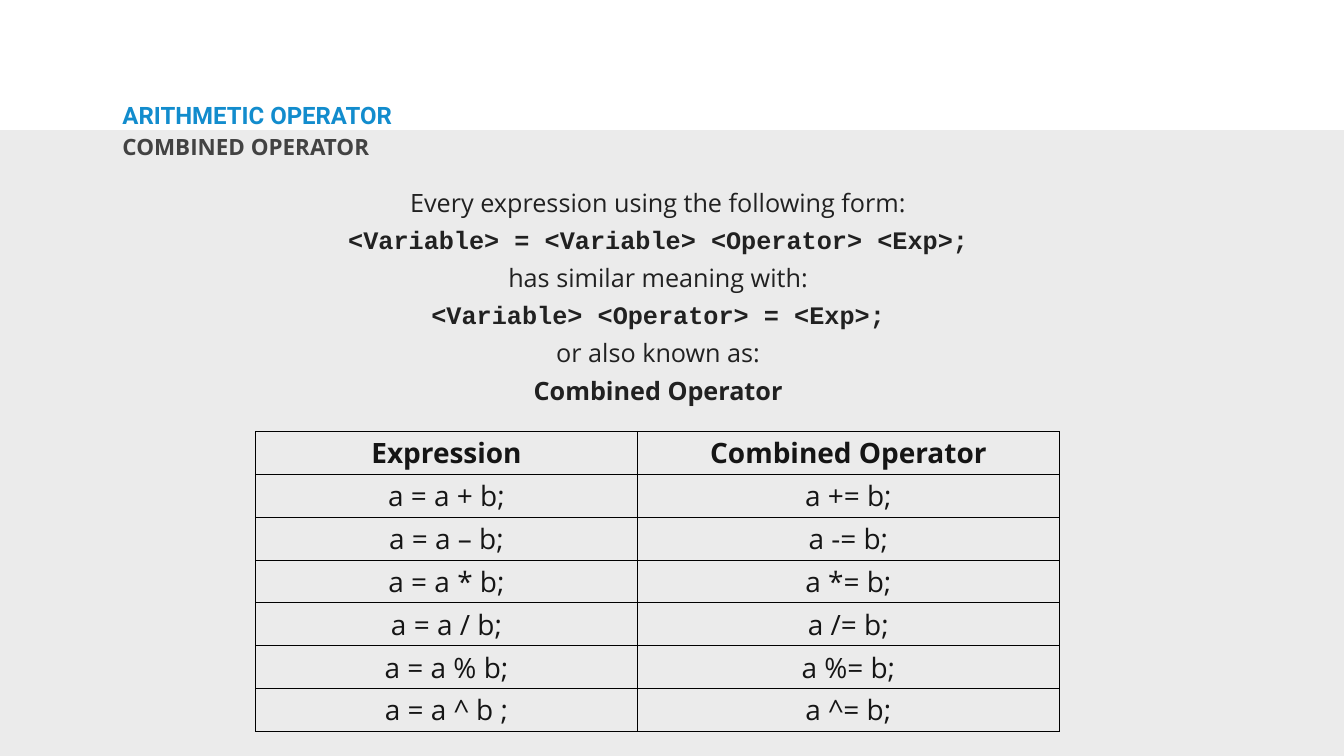
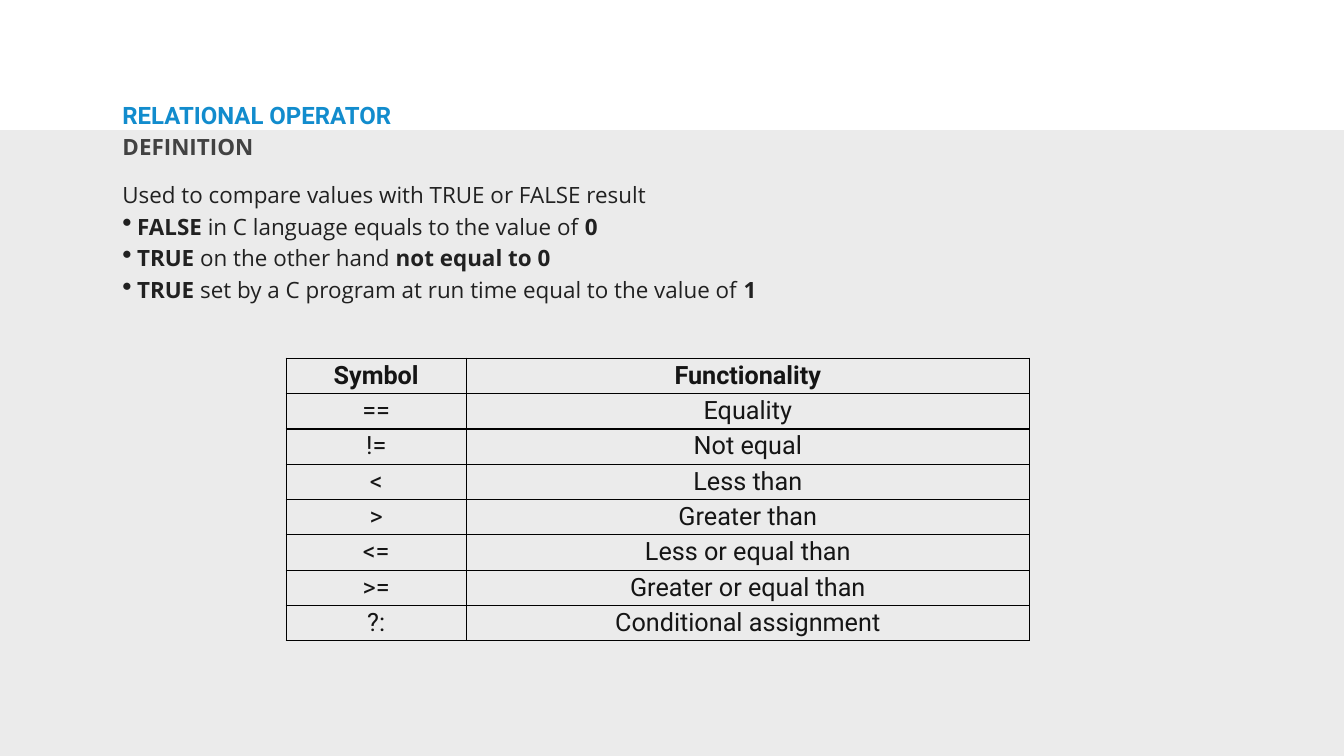
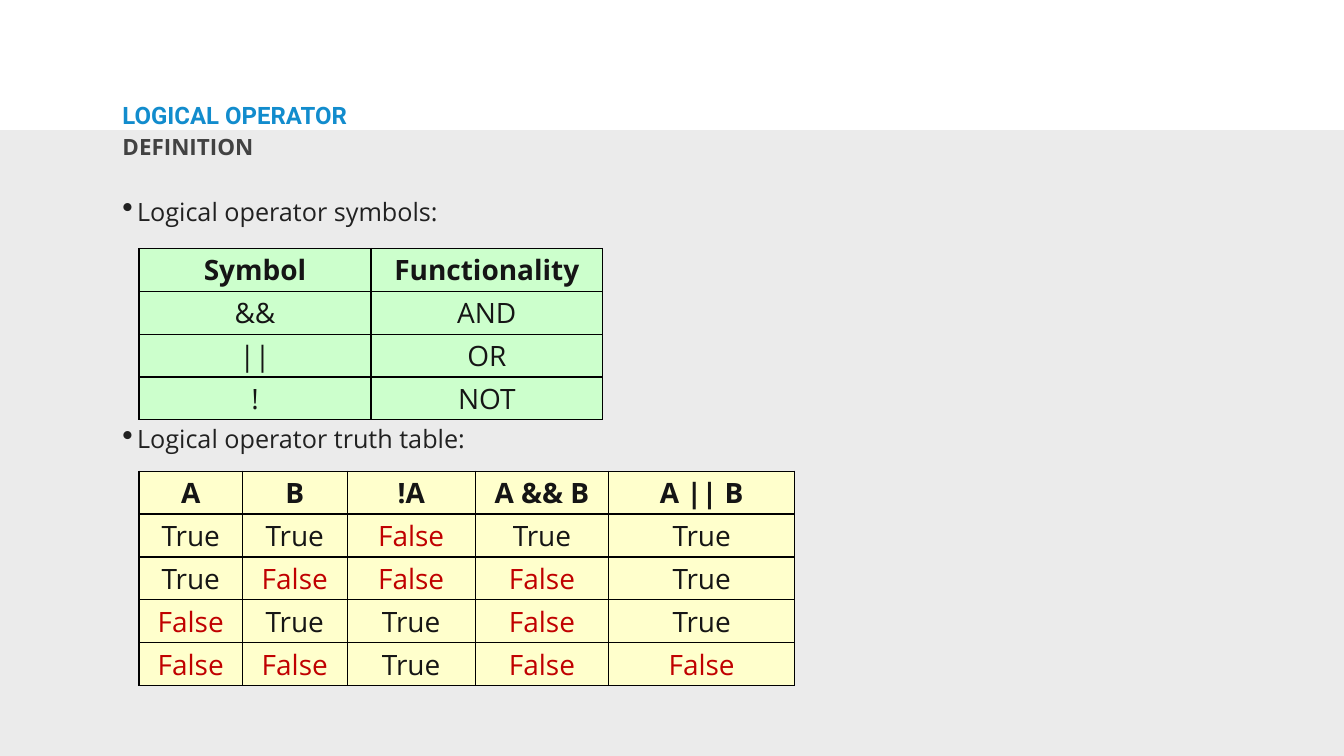
from lxml import etree
from pptx import Presentation
from pptx.dml.color import RGBColor
from pptx.enum.shapes import MSO_SHAPE
from pptx.enum.text import MSO_ANCHOR, PP_ALIGN
from pptx.oxml.ns import qn
from pptx.util import Inches, Pt

# Shared style
WHITE = RGBColor(0xFF, 0xFF, 0xFF)
BAND = RGBColor(0xEB, 0xEB, 0xEB)
BLUE = RGBColor(0x12, 0x8C, 0xCD)
GREY = RGBColor(0x42, 0x42, 0x42)
INK = RGBColor(0x21, 0x21, 0x21)
CELL_INK = RGBColor(0x15, 0x15, 0x15)
RED = RGBColor(0xC0, 0x00, 0x00)
GREEN_FILL = RGBColor(0xCC, 0xFF, 0xCC)
YELLOW_FILL = RGBColor(0xFF, 0xFF, 0xCC)

SANS, HEAD, MONO = "Open Sans", "Roboto", "Courier New"
LEFT, CENTER, JUSTIFY = PP_ALIGN.LEFT, PP_ALIGN.CENTER, PP_ALIGN.JUSTIFY
TOP, MIDDLE = MSO_ANCHOR.TOP, MSO_ANCHOR.MIDDLE
RECTANGLE = MSO_SHAPE.RECTANGLE
WIDTH, HEIGHT, BAND_TOP = 26.67, 15, 2.58
BOLD = {"bold": True}
CODE = {"font": MONO, "bold": True}


def write(p, text, size=36, font=SANS, color=INK, bold=False):
    """Add one formatted run to a paragraph."""
    r = p.add_run()
    r.text = text
    r.font.size, r.font.name, r.font.bold = Pt(size), font, bold
    r.font.color.rgb = color


def add_bullet(p):
    """Give a paragraph a large hanging bullet."""
    pPr = p._p.get_or_add_pPr()
    pPr.set("marL", str(Inches(0.29)))
    pPr.set("indent", str(-Inches(0.29)))
    etree.SubElement(pPr, qn("a:buSzPct")).set("val", "123000")
    etree.SubElement(pPr, qn("a:buChar")).set("char", "•")


def add_borders(cell, width):
    """Draw black lines on all four sides of a cell."""
    tcPr = cell._tc.get_or_add_tcPr()
    for side in ("lnL", "lnR", "lnT", "lnB"):
        ln = etree.SubElement(tcPr, qn("a:" + side), w=str(Pt(width)))
        fill = etree.SubElement(ln, qn("a:solidFill"))
        etree.SubElement(fill, qn("a:srgbClr"), val="000000")


class Deck:
    def __init__(self):
        self.prs = Presentation()
        self.prs.slide_width, self.prs.slide_height = Inches(WIDTH), Inches(HEIGHT)
        self.s = None

    def slide(self, title, subtitle):
        """Start a slide with the grey band, title and subtitle."""
        self.s = self.prs.slides.add_slide(self.prs.slide_layouts[6])
        self.s.background.fill.solid()
        self.s.background.fill.fore_color.rgb = WHITE
        self.band()
        self.text((2.37, 2.05, 16.09, 0.56), [[(title, BOLD)]], anchor=MIDDLE,
                  line=0.8, size=34.2, font=HEAD, color=BLUE)
        self.text((2.37, 2.65, 10.68, 0.88), [[(subtitle, BOLD)]],
                  line=0.9, size=32, color=GREY)

    def band(self):
        sp = self.s.shapes.add_shape(RECTANGLE, 0, Inches(BAND_TOP), Inches(WIDTH),
                                     Inches(HEIGHT - BAND_TOP))
        sp.shadow.inherit = False
        sp.fill.solid()
        sp.fill.fore_color.rgb = BAND
        sp.line.fill.background()

    def text(self, at, paragraphs, align=LEFT, anchor=TOP, line=None, before=0,
             bullets_from=None, **style):
        """Add a text box; each paragraph is a list of (text, format) runs."""
        tf = self.s.shapes.add_textbox(*map(Inches, at)).text_frame
        tf.word_wrap, tf.vertical_anchor = True, anchor
        tf.margin_left = tf.margin_right = Inches(0.06)
        tf.margin_top = tf.margin_bottom = Inches(0.06)
        for i, runs in enumerate(paragraphs):
            p = tf.add_paragraph() if i else tf.paragraphs[0]
            p.alignment = align
            if line:
                p.line_spacing = line
            if i:
                p.space_before = Pt(before)
            if bullets_from is not None and i >= bullets_from:
                add_bullet(p)
            for text, fmt in runs:
                write(p, text, **{**style, **fmt})

    def table(self, left, top, cols, row_height, rows, fill=None, border=2,
              size=40, font=SANS):
        """Add a bordered table with a bold first row and red False values."""
        frame = self.s.shapes.add_table(
            len(rows), len(cols), Inches(left), Inches(top),
            Inches(sum(cols)), Inches(row_height * len(rows)))
        table = frame.table
        table.first_row = table.horz_banding = False
        for column, width in zip(table.columns, cols):
            column.width = Inches(width)
        for i, values in enumerate(rows):
            table.rows[i].height = Inches(row_height)
            for j, value in enumerate(values):
                cell = table.cell(i, j)
                add_borders(cell, border)
                if fill:
                    cell.fill.solid()
                    cell.fill.fore_color.rgb = fill
                else:
                    cell.fill.background()
                p = cell.text_frame.paragraphs[0]
                p.alignment = CENTER
                write(p, value, size, font, RED if value == "False" else CELL_INK,
                      bold=i == 0)


def combined_operator(deck):
    deck.slide("ARITHMETIC OPERATOR", "COMBINED OPERATOR")
    deck.text((2.42, 3.65, 21.28, 4.29), [
        [("Every expression using the following form:", {})],
        [("<Variable> = <Variable> <Operator> <Exp>;", CODE)],
        [("has similar meaning with:", {})],
        [("<Variable> <Operator> = <Exp>;", CODE)],
        [("or also known as:", {})],
        [("Combined Operator", BOLD)],
    ], align=CENTER, before=10.5)
    deck.table(5.07, 8.56, (7.58, 8.37), 0.85, [
        ("Expression", "Combined Operator"),
        ("a = a + b;", "a += b;"),
        ("a = a – b;", "a -= b;"),
        ("a = a * b;", "a *= b;"),
        ("a = a / b;", "a /= b;"),
        ("a = a % b;", "a %= b;"),
        ("a = a ^ b ;", "a ^= b;"),
    ], border=1)


def relational_operator(deck):
    deck.slide("RELATIONAL OPERATOR", "DEFINITION")
    deck.text((2.37, 3.53, 21.63, 3.29), [
        [("Used to compare values with TRUE or FALSE result", {})],
        [("FALSE", BOLD), (" in C language equals to the value of ", {}), ("0", BOLD)],
        [("TRUE", BOLD), (" on the other hand ", {}), ("not equal to 0", BOLD)],
        [("TRUE", BOLD), (" set by a C program at run time equal to the value of ", {}),
         ("1", BOLD)],
    ], align=JUSTIFY, before=7, bullets_from=1, size=32)
    deck.table(5.68, 7.11, (3.57, 11.18), 0.68, [
        ("Symbol", "Functionality"),
        ("==", "Equality"),
        ("!=", "Not equal"),
        ("<", "Less than"),
        (">", "Greater than"),
        ("<=", "Less or equal than"),
        (">=", "Greater or equal than"),
        ("?:", "Conditional assignment"),
    ], size=36, font=HEAD)


def logical_operator(deck):
    deck.slide("LOGICAL OPERATOR", "DEFINITION")
    # The space between the two bullets holds the symbol table
    deck.text((2.37, 3.83, 22.15, 9.33), [
        [("Logical operator symbols:", {})],
        [("Logical operator truth table:", {})],
    ], align=JUSTIFY, before=282, bullets_from=0)
    deck.table(2.76, 4.93, (4.6, 4.6), 0.85, [
        ("Symbol", "Functionality"),
        ("&&", "AND"),
        ("||", "OR"),
        ("!", "NOT"),
    ], fill=GREEN_FILL)
    truth = [(a, b, not a, a and b, a or b)
             for a in (True, False) for b in (True, False)]
    deck.table(2.76, 9.35, (2.05, 2.08, 2.54, 2.65, 3.69), 0.85,
               [("A", "B", "!A", "A && B", "A || B")]
               + [tuple(map(str, row)) for row in truth], fill=YELLOW_FILL)


def main():
    deck = Deck()
    combined_operator(deck)
    relational_operator(deck)
    logical_operator(deck)
    deck.prs.save("out.pptx")


if __name__ == "__main__":
    main()
